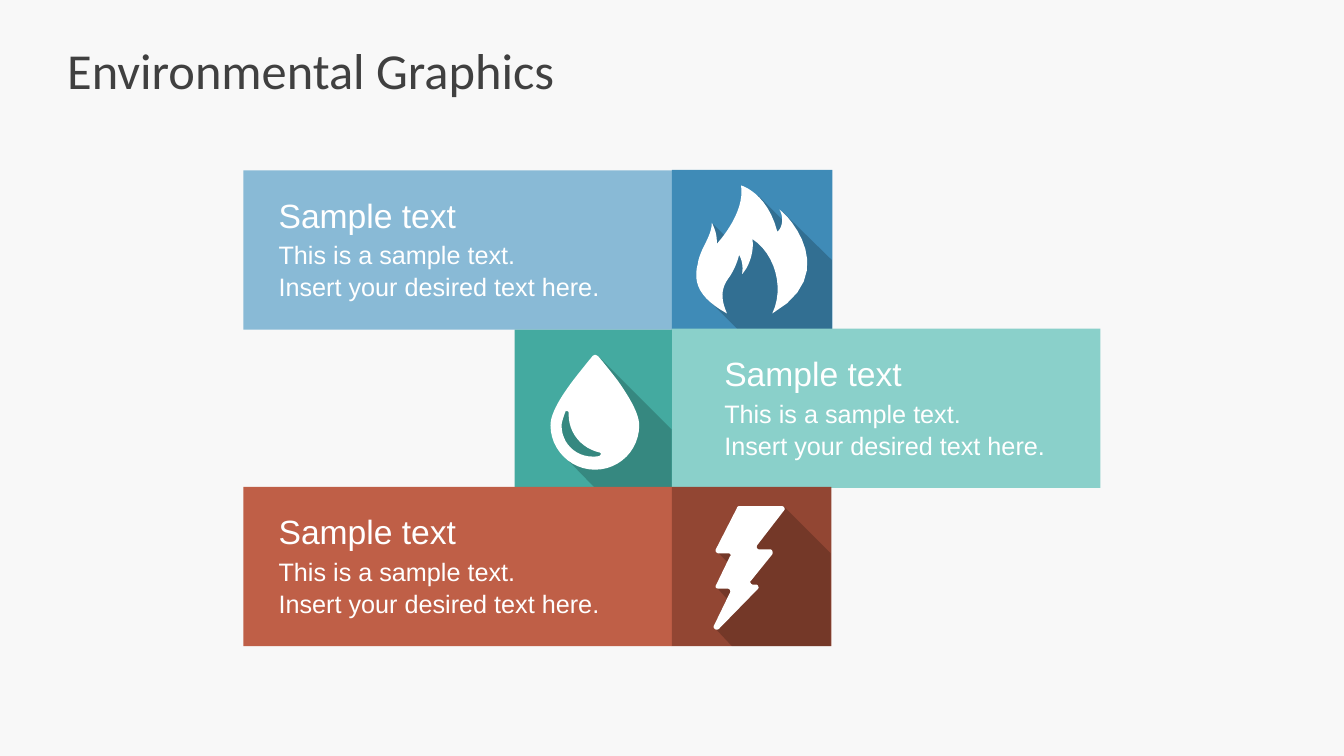
from dataclasses import dataclass

from lxml.etree import SubElement
from pptx import Presentation
from pptx.dml.color import RGBColor as Rgb
from pptx.enum.shapes import MSO_SHAPE as Preset
from pptx.enum.text import MSO_ANCHOR as Anchor
from pptx.oxml.ns import qn
from pptx.util import Inches, Pt

COLORS = {
    "background": "F8F8F8", "title": "404040", "white": "FFFFFF", "shadow": "000000",
    "sky": "89BAD6", "blue": "3F8BB7", "mint": "8AD0CA", "teal": "44AAA0",
    "brick": "BF5F47", "maroon": "924633",
}
WIDTH, HEIGHT = 13.33, 7.5
CENTER = WIDTH / 2
MARGIN = WIDTH / 20
FIRST_ROW, ROW_STEP = 1.69, 1.57
BAND_WIDTH, BAND_HEIGHT = 4.25, 1.58
TEXT_WIDTH = 3.58
CURVE_STEPS = 12

Segment = tuple[int, ...]
Contour = tuple[Segment, ...]
Point = tuple[float, float]


@dataclass(frozen=True)
class Icon:
    shadow: Contour
    contours: tuple[Contour, ...]


@dataclass(frozen=True)
class Row:
    band_color: str
    tile_color: str
    tile_size: float
    band_on_left: bool
    text_indent: float
    icon: Icon


FLAME = Icon(
    shadow=((697, 292), (733, 328), (825, 328), (825, 258), (776, 210), (778, 220),
            (752, 194), (720, 235), (707, 222)),
    contours=((
        (721, 311), (713, 293, 717, 283, 724, 274), (731, 263, 733, 253, 733, 253),
        (733, 253, 738, 260, 736, 272), (746, 261, 748, 243, 746, 237),
        (769, 252, 778, 286, 766, 311), (834, 272, 783, 214, 773, 208),
        (777, 214, 777, 225, 771, 230), (761, 191, 735, 184, 735, 184),
        (738, 204, 725, 226, 711, 242), (711, 234, 710, 229, 706, 221),
        (706, 235, 694, 247, 692, 262), (687, 281, 694, 296, 721, 311),
    ),),
)
DROP = Icon(
    shadow=((554, 447), (589, 483), (666, 483), (666, 426), (592, 352), (578, 410),
            (573, 418, 564, 399, 559, 402), (555, 405, 553, 420, 552, 427),
            (551, 435, 548, 437, 554, 447)),
    contours=(
        ((613, 378), (603, 365, 593, 353, 593, 353), (592, 353, 591, 352, 590, 352),
         (590, 352, 588, 353, 588, 353), (588, 353, 578, 365, 568, 378),
         (553, 398, 546, 412, 546, 422), (546, 446, 566, 466, 590, 466),
         (615, 466, 634, 446, 634, 422), (634, 412, 627, 398, 613, 378)),
        ((595, 452), (593, 453, 590, 453, 588, 453), (570, 453, 557, 439, 557, 422),
         (557, 420, 558, 416, 561, 408), (561, 408, 562, 408, 563, 408),
         (563, 408, 564, 408, 564, 410), (564, 411), (564, 430, 577, 445, 595, 449),
         (595, 449, 596, 450, 596, 450), (596, 451, 595, 452, 595, 452)),
    ),
)
BOLT = Icon(
    shadow=((775, 502), (734, 502), (732, 504), (710, 545), (712, 548), (722, 558),
            (710, 581), (712, 584), (721, 594), (708, 621), (710, 624), (726, 641),
            (824, 641), (824, 549), (779, 504), (778, 503, 777, 502, 775, 502)),
    contours=((
        (713, 624), (752, 584), (753, 583, 752, 580, 750, 580), (747, 580),
        (745, 580, 743, 577, 745, 576), (766, 550), (767, 548, 766, 545, 764, 545),
        (753, 545), (751, 545, 750, 543, 751, 541), (778, 506),
        (779, 505, 778, 502, 775, 502), (734, 502), (732, 502, 731, 503, 731, 504),
        (710, 545), (709, 547, 711, 549, 713, 549), (723, 549),
        (724, 549, 726, 551, 724, 552), (710, 581), (709, 583, 711, 584, 713, 584),
        (722, 584), (724, 584, 725, 587, 724, 588), (708, 621),
        (707, 623, 710, 626, 713, 624),
    ),),
)
ROWS = (
    Row("sky", "blue", 1.59, True, 0.25, FLAME),
    Row("mint", "teal", 1.56, False, 0.42, DROP),
    Row("brick", "maroon", 1.58, True, 0.25, BOLT),
)


def paint(shape, color: str) -> None:
    shape.shadow.inherit = False
    shape.fill.solid()
    shape.fill.fore_color.rgb = Rgb.from_string(COLORS[color])
    shape.line.fill.background()


def add_rectangle(slide, left: float, top: float, width: float, height: float, color: str) -> None:
    box = map(Inches, (left, top, width, height))
    paint(slide.shapes.add_shape(Preset.RECTANGLE, *box), color)


def add_text(slide, box: tuple[float, ...], lines: tuple[str, ...], size: int,
             color: str = "white", font: str = "Arial", spacing: float = 1.06):
    frame = slide.shapes.add_textbox(*map(Inches, box)).text_frame
    frame.word_wrap = True
    frame.text = "\n".join(lines)
    for paragraph in frame.paragraphs:
        paragraph.line_spacing = spacing
        paragraph.font.name = font
        paragraph.font.size = Pt(size)
        paragraph.font.color.rgb = Rgb.from_string(COLORS[color])
    return frame


def flatten(contour: Contour) -> list[Point]:
    points: list[Point] = [contour[0]]
    for segment in contour[1:]:
        if len(segment) == 2:
            points.append(segment)
            continue
        controls = (points[-1], segment[:2], segment[2:4], segment[4:])
        for step in range(1, CURVE_STEPS + 1):
            t = step / CURVE_STEPS
            weights = ((1 - t) ** 3, 3 * t * (1 - t) ** 2, 3 * t * t * (1 - t), t ** 3)
            points.append(tuple(sum(weight * control[axis] for weight, control
                                    in zip(weights, controls)) for axis in (0, 1)))
    return points


def add_outline(slide, contours: tuple[Contour, ...], color: str):
    outlines = [[(Inches(x / 100), Inches(y / 100)) for x, y in flatten(contour)]
                for contour in contours]
    builder = slide.shapes.build_freeform(*outlines[0][0], scale=1.0)
    for index, points in enumerate(outlines):
        if index:
            builder.move_to(*points[0])
        builder.add_line_segments(points[1:], close=True)
    shape = builder.convert_to_shape()
    paint(shape, color)
    return shape


def add_icon(slide, icon: Icon) -> None:
    shadow = add_outline(slide, (icon.shadow,), "shadow")
    color = shadow.element.find(".//" + qn("a:srgbClr"))
    SubElement(color, qn("a:alpha"), val="20000")
    add_outline(slide, icon.contours, "white")


def add_row(slide, index: int, row: Row) -> None:
    top = FIRST_ROW + index * ROW_STEP
    band_left = CENTER - BAND_WIDTH if row.band_on_left else CENTER
    tile_left = CENTER if row.band_on_left else CENTER - row.tile_size
    tile_top = top + (BAND_HEIGHT - row.tile_size) / 2
    text_left = band_left + row.text_indent
    add_rectangle(slide, band_left, top, BAND_WIDTH, BAND_HEIGHT, row.band_color)
    add_rectangle(slide, tile_left, tile_top, row.tile_size, row.tile_size, row.tile_color)
    add_icon(slide, row.icon)
    add_text(slide, (text_left, top + 0.17, TEXT_WIDTH, 0.5), ("Sample text",), 24)
    add_text(slide, (text_left, top + 0.62, TEXT_WIDTH, 0.71),
             ("This is a sample text.", "Insert your desired text here."), 18)


presentation = Presentation()
presentation.slide_width, presentation.slide_height = Inches(WIDTH), Inches(HEIGHT)
slide = presentation.slides.add_slide(presentation.slide_layouts[6])
slide.background.fill.solid()
slide.background.fill.fore_color.rgb = Rgb.from_string(COLORS["background"])

title = add_text(slide, (MARGIN, HEIGHT * 0.04, WIDTH - 2 * MARGIN, 0.78),
                 ("Environmental Graphics",), 36, "title", "Calibri", 1.0)
title.margin_left = title.margin_right = 0
title.vertical_anchor = Anchor.MIDDLE

for index, row in enumerate(ROWS):
    add_row(slide, index, row)

presentation.save("out.pptx")
